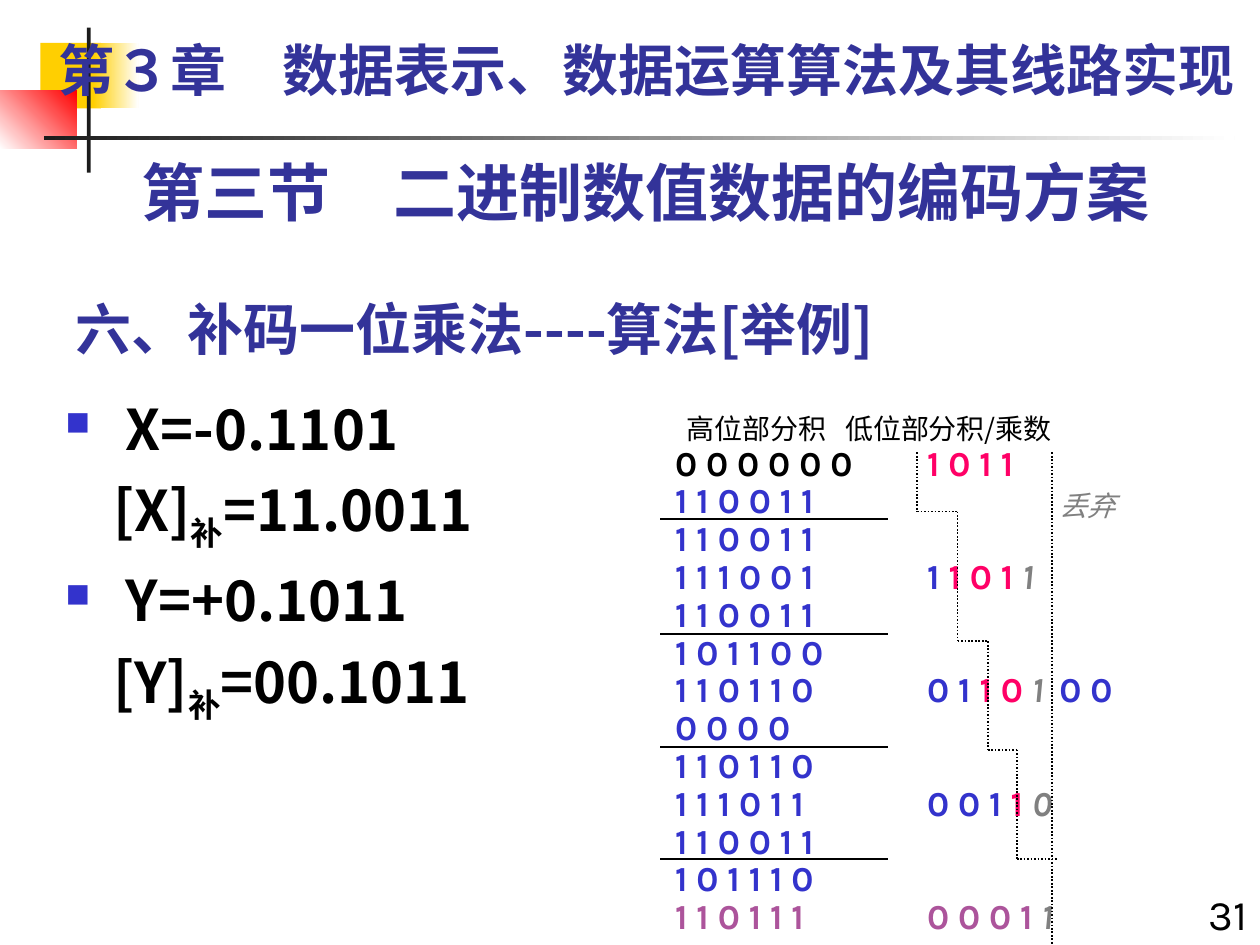
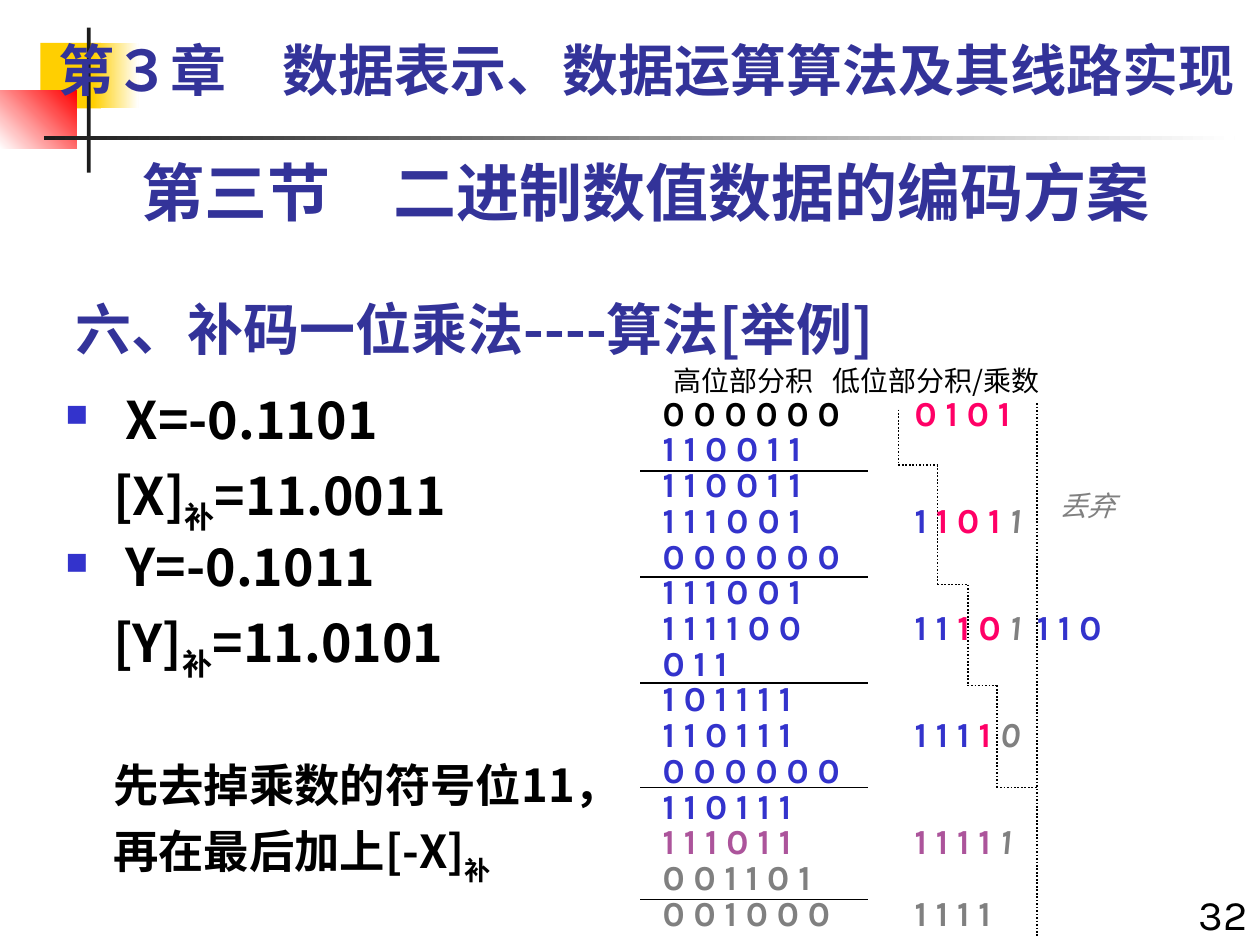
import pptx
import pptx.dml.color
import pptx.enum.dml
import pptx.enum.shapes
import pptx.enum.text
import pptx.oxml.ns
import pptx.util
import lxml.etree

Inches = pptx.util.Inches
Pt = pptx.util.Pt
qn = pptx.oxml.ns.qn
ALIGN = pptx.enum.text.PP_ALIGN
ANCHOR = pptx.enum.text.MSO_ANCHOR
rgb = pptx.dml.color.RGBColor.from_string

NAVY, BLACK, BLUE, PINK, GREY, PURPLE = "333399", "000000", "3333CC", "FF0066", "808080", "AC549B"
CJK = "Noto Sans CJK SC"


def add_text(slide, at, runs, size, color, font="Karla", bold=False, italic=False, align=ALIGN.LEFT,
             anchor=ANCHOR.TOP, spacing=1.0, before=0, indent=0, bullet=False, tabs=(), frame=None):
    """Write one paragraph of (text, overrides) runs, in a new box or at the end of a frame."""
    if frame is None:
        frame = slide.shapes.add_textbox(*map(Inches, at)).text_frame
        frame.word_wrap = True
        frame.vertical_anchor = anchor
        paragraph = frame.paragraphs[0]
    else:
        paragraph = frame.add_paragraph()
        paragraph.space_before = Pt(before)
    paragraph.alignment = align
    paragraph.line_spacing = spacing
    properties = paragraph._p.get_or_add_pPr()
    if indent:
        properties.set("marL", str(Inches(indent)))
        properties.set("indent", str(Inches(-indent if bullet else 0)))
    if bullet:
        bullet_color = lxml.etree.SubElement(properties, qn("a:buClr"))
        lxml.etree.SubElement(bullet_color, qn("a:srgbClr"), val=BLUE)
        lxml.etree.SubElement(properties, qn("a:buSzPct"), val="60000")
        lxml.etree.SubElement(properties, qn("a:buChar"), char="■")
    if tabs:
        tab_list = lxml.etree.SubElement(properties, qn("a:tabLst"))
        for stop in tabs:
            lxml.etree.SubElement(tab_list, qn("a:tab"), pos=str(Inches(stop)), algn="l")
    paragraph.font.size = Pt(size)
    paragraph.font.bold = bold
    paragraph.font.italic = italic
    paragraph.font.color.rgb = rgb(color)
    paragraph.font.name = font
    lxml.etree.SubElement(properties.find(qn("a:defRPr")), qn("a:ea"), typeface=CJK)
    for text, changes in runs:
        run = paragraph.add_run()
        run.text = text
        if "color" in changes:
            run.font.color.rgb = rgb(changes["color"])
        if "italic" in changes:
            run.font.italic = True
        if "font" in changes:
            run.font.name = changes["font"]
        if "sub" in changes:
            run._r.get_or_add_rPr().set("baseline", "-25000")
    return frame


def add_line(slide, start, end, dotted=False):
    line = slide.shapes.add_connector(pptx.enum.shapes.MSO_CONNECTOR.STRAIGHT,
                                      *map(Inches, (*start, *end)))
    line.line.color.rgb = rgb(BLACK)
    line.line.width = Pt(1)
    if dotted:
        line.line.dash_style = pptx.enum.dml.MSO_LINE.ROUND_DOT
    lxml.etree.SubElement(line._element.spPr, qn("a:effectLst"))


# Band at the top: place, first colour, second colour, angle
BAND = [
    ((0.32, 0.34, 0.48, 0.52), "FFCF01", None, 0),
    ((0.74, 0.34, 0.36, 0.52), "FFCF01", "FFFFFF", 0),
    ((0, 0.72, 0.61, 0.46), "FFFFFF", "FF0000", 45),
    ((0.69, 0.22, 0.03, 1.15), "1C1C1C", None, 0),
    ((0.35, 1.08, 9.45, 0.03), "1C1C1C", "FFFFFF", 0),
]

# Digit styles
START, NEW, FACTOR = {"color": BLACK}, {"color": BLUE}, {"color": PINK}
DROPPED, RESULT, FIX = {"color": GREY, "italic": True}, {"color": PURPLE}, {"color": GREY}
SUB = {"sub": True}

# Each working row: high digits, their style, low digits by style, digits carried past the edge
EXAMPLES = [
    dict(
        number="31", size=32, spacing=1.0, x="-0.1101", x_code="11.0011", y="+0.1011", y_code="00.1011",
        note=False, body_height=3.11,
        work_at=(5.26, 3.25, 3.72, 4.24), work_spacing=0.9, carry_tab=3.05,
        rows=[
            ("000000", START, [("1011", FACTOR)], ""),
            ("110011", NEW, [], ""),
            ("110011", NEW, [], ""),
            ("111001", NEW, [("1", NEW), ("101", FACTOR), ("1", DROPPED)], ""),
            ("110011", NEW, [], ""),
            ("101100", NEW, [], ""),
            ("110110", NEW, [("01", NEW), ("10", FACTOR), ("1", DROPPED)], "000000"),
            ("110110", NEW, [], ""),
            ("111011", NEW, [("001", NEW), ("1", FACTOR), ("0", DROPPED)], ""),
            ("110011", NEW, [], ""),
            ("101110", NEW, [], ""),
            ("110111", RESULT, [("0001", RESULT), ("1", DROPPED)], ""),
        ],
        sum_left=5.24, sum_lines=[4.12, 5.03, 5.93, 6.82],
        edge=(8.35, 3.59, 7.5),
        step_x=[7.28, 7.6, 7.84, 8.07, 8.39], step_y=[3.59, 4.06, 5.09, 5.95, 6.82],
    ),
    dict(
        number="32", size=29.6, spacing=0.9, x="-0.1101", x_code="11.0011", y="-0.1011", y_code="11.0101",
        note=True, body_height=4.42,
        work_at=(5.16, 2.88, 3.72, 4.58), work_spacing=0.85, carry_tab=2.97,
        rows=[
            ("000000", START, [("0101", FACTOR)], ""),
            ("110011", NEW, [], ""),
            ("110011", NEW, [], ""),
            ("111001", NEW, [("1", NEW), ("101", FACTOR), ("1", DROPPED)], ""),
            ("000000", NEW, [], ""),
            ("111001", NEW, [], ""),
            ("111100", NEW, [("11", NEW), ("10", FACTOR), ("1", DROPPED)], "110011"),
            ("101111", NEW, [], ""),
            ("110111", NEW, [("111", NEW), ("1", FACTOR), ("0", DROPPED)], ""),
            ("000000", NEW, [], ""),
            ("110111", NEW, [], ""),
            ("111011", RESULT, [("1111", RESULT), ("1", DROPPED)], ""),
            ("001101", FIX, [], ""),
            ("001000", FIX, [("1111", FIX)], ""),
        ],
        sum_left=5.08, sum_lines=[3.74, 4.58, 5.42, 6.25, 7.14],
        edge=(8.23, 3.2, 7.43),
        step_x=[7.13, 7.44, 7.68, 7.91, 8.23], step_y=[3.25, 3.69, 4.64, 5.44, 6.25],
    ),
]

deck = pptx.Presentation()
deck.slide_width, deck.slide_height = Inches(10), Inches(7.5)

for example in EXAMPLES:
    slide = deck.slides.add_slide(deck.slide_layouts[6])

    # Band
    for place, first, second, angle in BAND:
        block = slide.shapes.add_shape(pptx.enum.shapes.MSO_SHAPE.RECTANGLE, *map(Inches, place))
        block.shadow.inherit = False
        block.line.fill.background()
        if second:
            block.fill.gradient()
            block.fill.gradient_angle = angle
            for stop, color in zip(block.fill.gradient_stops, (first, second)):
                stop.color.rgb = rgb(color)
        else:
            block.fill.solid()
            block.fill.fore_color.rgb = rgb(first)

    # Headings and page number
    add_text(slide, (0.5, 2.17, 9.5, 0.75), [("六、补码一位乘法----算法[举例]", {})], 32, NAVY,
             font=CJK, bold=True, anchor=ANCHOR.BOTTOM)
    add_text(slide, (9.33, 7, 0.67, 0.59), [(example["number"], {})], 24, BLACK, align=ALIGN.RIGHT)
    add_text(slide, (0.5, 1.17, 9.25, 0.7), [("第三节　二进制数值数据的编码方案", {})], 36, NAVY,
             bold=True, align=ALIGN.CENTER)
    add_text(slide, (0.27, 0.17, 9.73, 0.83),
             [("第３章　", {"font": "Times New Roman"}), ("数据表示、数据运算算法及其线路实现", {})],
             32, NAVY, bold=True, align=ALIGN.CENTER, anchor=ANCHOR.MIDDLE, spacing=0.9)

    # Operands and their complements
    operands = None
    body = dict(color=BLACK, font=CJK, bold=True, spacing=example["spacing"])
    for name in "XY":
        value, code = example[name.lower()], example[name.lower() + "_code"]
        operands = add_text(slide, (0.42, 3.08, 9.58, example["body_height"]), [(f"{name}={value}", {})],
                            example["size"], before=8, indent=0.48, bullet=True, frame=operands, **body)
        add_text(slide, None, [(f"[{name}]", {}), ("补", SUB), (f"={code}", {})],
                 example["size"], before=8, indent=0.38, frame=operands, **body)
    if example["note"]:
        add_text(slide, None, [("先去掉乘数的符号位11，", {})], 25.9, before=50, indent=0.38,
                 frame=operands, **body)
        add_text(slide, None, [("再在最后加上[-X]", {}), ("补", SUB)], 25.9, before=7, indent=0.38,
                 frame=operands, **body)

    # Working, row by row
    working = add_text(slide, example["work_at"], [("\t高位部分积\t低位部分积/乘数", {})], 16, BLACK,
                       font=CJK, spacing=example["work_spacing"], tabs=(0.09, 1.35))
    for high, style, low, carried in example["rows"]:
        runs = [(" ".join(high) + ("\t" if low else ""), style)]
        runs += [(" ".join(digits) + (" " if digits_style is not low[-1][1] else ""), digits_style)
                 for digits, digits_style in low]
        if carried:
            runs.append(("\t" + " ".join(carried), NEW))
        add_text(slide, None, runs, 20, BLUE, bold=True, spacing=example["work_spacing"],
                 tabs=(2, example["carry_tab"]), frame=working)

    # Sum lines, register edge and the staircase between product and multiplier
    for y in example["sum_lines"]:
        add_line(slide, (example["sum_left"], y), (example["sum_left"] + 1.81, y))
    edge_x, edge_top, edge_bottom = example["edge"]
    add_line(slide, (edge_x, edge_top), (edge_x, edge_bottom), dotted=True)
    xs, ys = example["step_x"], example["step_y"]
    for x, next_x, y, next_y in zip(xs, xs[1:], ys, ys[1:]):
        add_line(slide, (x, y), (x, next_y), dotted=True)
        add_line(slide, (x, next_y), (next_x, next_y), dotted=True)

    add_text(slide, (8.31, 3.83, 0.71, 0.37), [("丢弃", {})], 16, GREY, italic=True)

deck.save("out.pptx")
